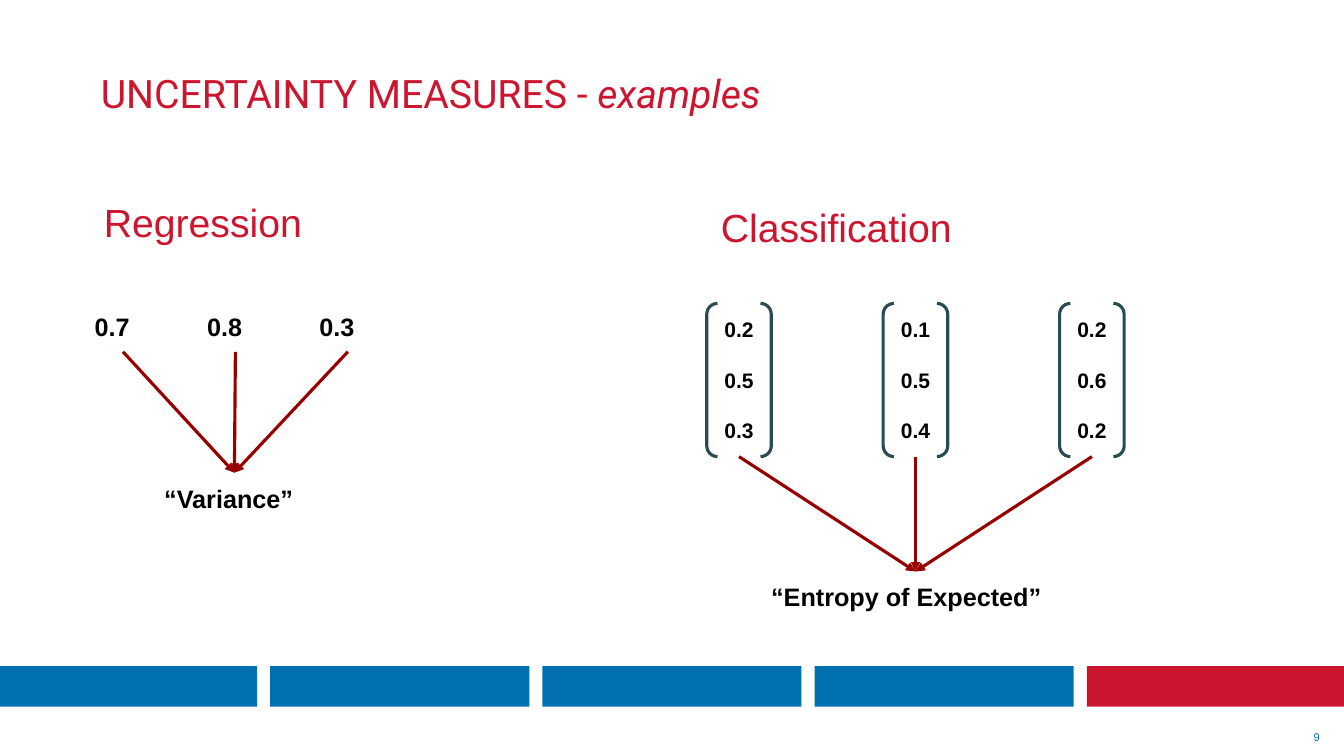
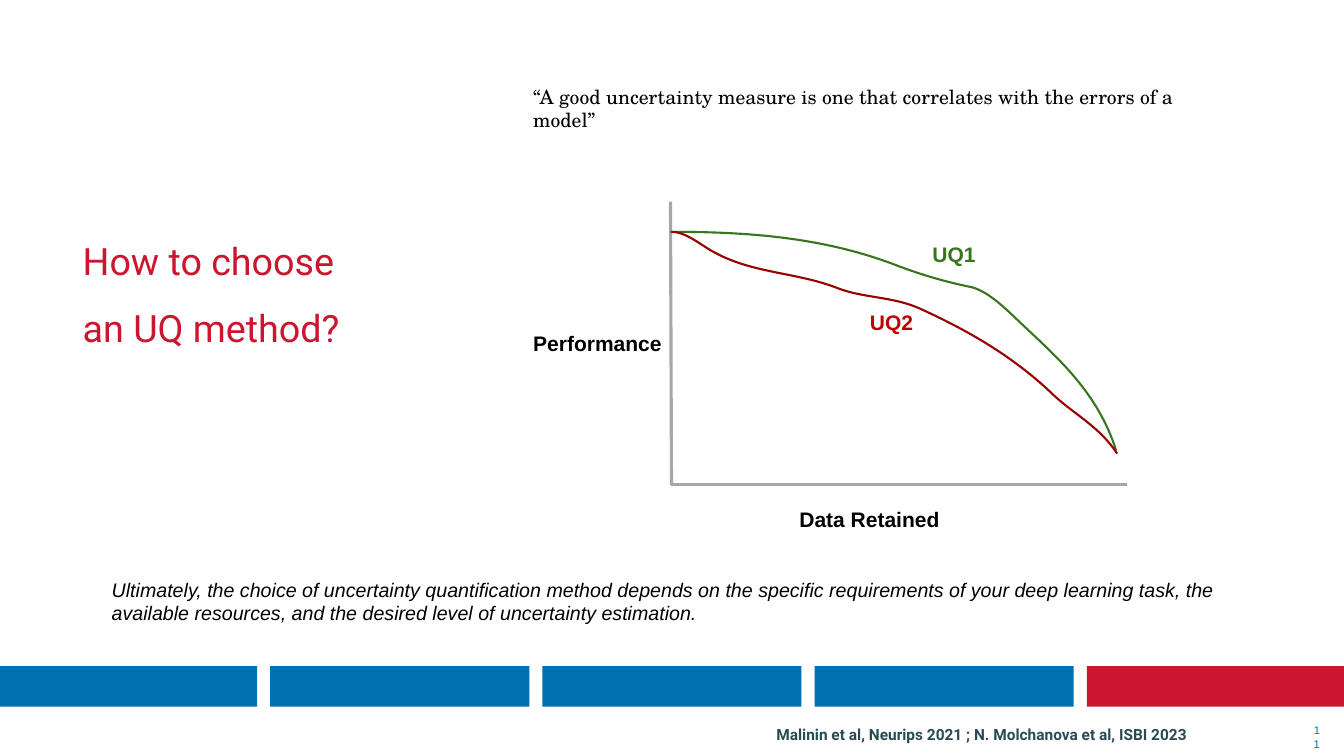
"""Build two slides on uncertainty measures and on choosing a method."""
from lxml.etree import SubElement
from pptx import Presentation
from pptx.dml.color import RGBColor
from pptx.enum.shapes import MSO_CONNECTOR, MSO_SHAPE as SHAPE
from pptx.enum.text import MSO_ANCHOR as ANCHOR, PP_ALIGN as ALIGN
from pptx.oxml.ns import qn
from pptx.util import Inches, Pt

W, H = 13.33, 7.5
COLORS = {"blue": "0171B1", "red": "CC162F", "black": "000000", "slate": "284B54",
          "arrow": "980000", "axis": "A7A7A7", "green": "38761D", "label_red": "C00000"}

BAND = {"left": -0.02, "top": 6.61, "pitch": 2.7, "width": 2.57, "height": 0.4}
BAND_COLORS = ["blue"] * 4 + ["red"]

TITLE = {"size": 28, "name": "Roboto", "color": "red"}
HEADING = {**TITLE, "name": "Arial"}
VALUE = {"size": 18, "name": "Arial", "color": "black", "bold": True}
LABEL = {**VALUE, "size": 15}
NUMBER = {"size": 8, "name": "Arial", "color": "blue"}
QUOTE = {"size": 14, "name": "TeX Gyre Schola", "color": "black"}
CLOSING = {"size": 14, "name": "Arial", "color": "black", "italic": True}
SOURCE = {"size": 11, "name": "Roboto", "color": "slate", "bold": True}

HEADINGS = [("Regression", (0.98, 1.49, 6.04, 1.19)),
            ("Classification", (7.1, 1.54, 6.04, 1.19))]
REGRESSION = ["0.7", "0.8", "0.3"]
CLASSIFICATION = [["0.2", "0.5", "0.3"], ["0.1", "0.5", "0.4"], ["0.2", "0.6", "0.2"]]

CHART_LABELS = [("Performance", (5.19, 3.18, 1.61, 0.45), "black"),
                ("Data Retained", (7.83, 4.92, 2.24, 0.45), "black"),
                ("UQ1", (9.15, 2.3, 1.2, 0.45), "green"),
                ("UQ2", (8.53, 2.97, 1.2, 0.45), "label_red")]
AXES = [((6.65, 2), (6.66, 4.81)), ((11.18, 4.81), (6.66, 4.81))]
CURVES = [
    ("green", [(6.65, 2.3),
               (7.4, 2.3), (8.17, 2.35), (8.91, 2.64),
               (9.15, 2.73), (9.39, 2.8), (9.64, 2.85),
               (9.82, 2.9), (9.99, 3.08), (10.15, 3.23),
               (10.5, 3.56), (10.89, 3.9), (11.07, 4.47)]),
    ("arrow", [(6.66, 2.3),
               (6.78, 2.3), (6.9, 2.39), (7.01, 2.46),
               (7.42, 2.72), (7.88, 2.69), (8.31, 2.86),
               (8.57, 2.96), (8.85, 2.94), (9.12, 3.06),
               (9.58, 3.27), (10.05, 3.53), (10.46, 3.93),
               (10.67, 4.12), (10.91, 4.24), (11.08, 4.5)]),
]


def rgb(name):
    return RGBColor.from_string(COLORS[name])


def write(sp, lines, fmt, inset=0.1, anchor=ANCHOR.TOP, indent=0, **para):
    tf = sp.text_frame
    tf.word_wrap = True
    tf.vertical_anchor = anchor
    for side in ("left", "top", "right", "bottom"):
        setattr(tf, f"margin_{side}", Inches(inset))
    for i, runs in enumerate(lines):
        p = tf.paragraphs[0] if i == 0 else tf.add_paragraph()
        for key, value in para.items():
            if i or key != "space_before":
                setattr(p, key, value)
        if indent:
            p._p.get_or_add_pPr().set("indent", str(Inches(indent)))
        for text, extra in ([(runs, {})] if isinstance(runs, str) else runs):
            r = p.add_run()
            r.text = text
            for key, value in {**fmt, **extra}.items():
                if key == "color":
                    r.font.color.rgb = rgb(value)
                else:
                    setattr(r.font, key, Pt(value) if key == "size" else value)


def add_text(s, at, lines, fmt, **options):
    sp = s.shapes.add_textbox(*map(Inches, at))
    write(sp, lines, fmt, **options)
    return sp


def add_title(s, at, lines, fmt, indent=0):
    add_text(s, at, lines, fmt, inset=0.05, anchor=ANCHOR.MIDDLE,
             indent=indent, line_spacing=1.5)


def add_line(s, start, end, color):
    line = s.shapes.add_connector(MSO_CONNECTOR.STRAIGHT, *map(Inches, (*start, *end)))
    line.line.color.rgb = rgb(color)
    line.line.width = Pt(2.25)
    SubElement(line._element.spPr, qn("a:effectLst"))
    return line


def add_arrows(s, sources, target):
    for source in sources:
        arrow = add_line(s, (0, 0), (0, 0), "arrow")
        arrow.begin_connect(source, 2)
        arrow.end_connect(target, 0)
        SubElement(arrow.line._get_or_add_ln(), qn("a:tailEnd"), type="triangle")


def outline(sp, color, width):
    sp.shadow.inherit = False
    sp.fill.background()
    sp.line.color.rgb = rgb(color)
    sp.line.width = Pt(width)


def add_bracket(s, at, values):
    sp = s.shapes.add_shape(SHAPE.DOUBLE_BRACKET, *map(Inches, at))
    outline(sp, "slate", 2.25)
    write(sp, values, LABEL, anchor=ANCHOR.MIDDLE, alignment=ALIGN.CENTER,
          space_before=Pt(18))
    return sp


def add_curve(s, color, points):
    start, *rest = [(Inches(x), Inches(y)) for x, y in points]
    builder = s.shapes.build_freeform(*start)
    builder.add_line_segments(rest, close=False)
    sp = builder.convert_to_shape()
    outline(sp, color, 1.5)
    outline_path = next(sp._element.iter(qn("a:path")))
    segments = outline_path.findall(qn("a:lnTo"))
    for i in range(0, len(segments), 3):
        bezier = SubElement(outline_path, qn("a:cubicBezTo"))
        for segment in segments[i:i + 3]:
            bezier.append(segment[0])
            outline_path.remove(segment)


def new_slide(prs, number):
    s = prs.slides.add_slide(prs.slide_layouts[6])
    for i, color in enumerate(BAND_COLORS):
        at = BAND["left"] + i * BAND["pitch"], BAND["top"], BAND["width"], BAND["height"]
        sp = s.shapes.add_shape(SHAPE.RECTANGLE, *map(Inches, at))
        sp.shadow.inherit = False
        sp.fill.solid()
        sp.fill.fore_color.rgb = rgb(color)
        sp.line.fill.background()
    add_text(s, (12.96, 7.19, 0.18, 0.24), [number], NUMBER, inset=0.05,
             anchor=ANCHOR.MIDDLE, alignment=ALIGN.RIGHT)
    return s


def examples_slide(prs):
    s = new_slide(prs, "9")
    title = [("UNCERTAINTY MEASURES - ", {}), ("examples", {"italic": True})]
    add_title(s, (0.32, 0.21, 10.62, 1.19), [title], TITLE, indent=0.63)
    for text, at in HEADINGS:
        add_title(s, at, [text], HEADING)
    values = [add_text(s, (0.84 + i * 1.115, 2.99, 0.76, 0.5), [text], VALUE)
              for i, text in enumerate(REGRESSION)]
    variance = add_text(s, (1.53, 4.69, 1.59, 0.5), ["“Variance”"], VALUE)
    add_arrows(s, values, variance)
    brackets = [add_bracket(s, (7.01 + i * 1.75, 3.01, 0.64, 1.52), column)
                for i, column in enumerate(CLASSIFICATION)]
    entropy = add_text(s, (7.55, 5.67, 3.06, 0.5), ["“Entropy of Expected”"], VALUE)
    add_arrows(s, brackets, entropy)


def choice_slide(prs):
    s = new_slide(prs, "11")
    add_title(s, (0.17, 2.21, 3.42, 1.19), ["How to choose", "an UQ method?"],
              {**TITLE, "size": 26.9}, indent=0.6)
    add_text(s, (7.65, 7.14, 5.2, 0.29),
             ["Malinin et al, Neurips 2021 ; N. Molchanova et al, ISBI 2023"],
             SOURCE, inset=0.05)
    add_text(s, (1.01, 5.63, 11.8, 0.67),
             ["Ultimately, the choice of uncertainty quantification method depends on "
              "the specific requirements of your deep learning task, the available "
              "resources, and the desired level of uncertainty estimation."], CLOSING)
    add_text(s, (5.19, 0.74, 7.04, 0.67),
             ["“A good uncertainty measure is one that correlates with the errors "
              "of a model”"], QUOTE)
    for start, end in AXES:
        add_line(s, start, end, "axis")
    for color, points in CURVES:
        add_curve(s, color, points)
    for text, at, color in CHART_LABELS:
        add_text(s, at, [text], {**LABEL, "color": color})


def main():
    prs = Presentation()
    prs.slide_width, prs.slide_height = Inches(W), Inches(H)
    examples_slide(prs)
    choice_slide(prs)
    prs.save("out.pptx")


if __name__ == "__main__":
    main()
